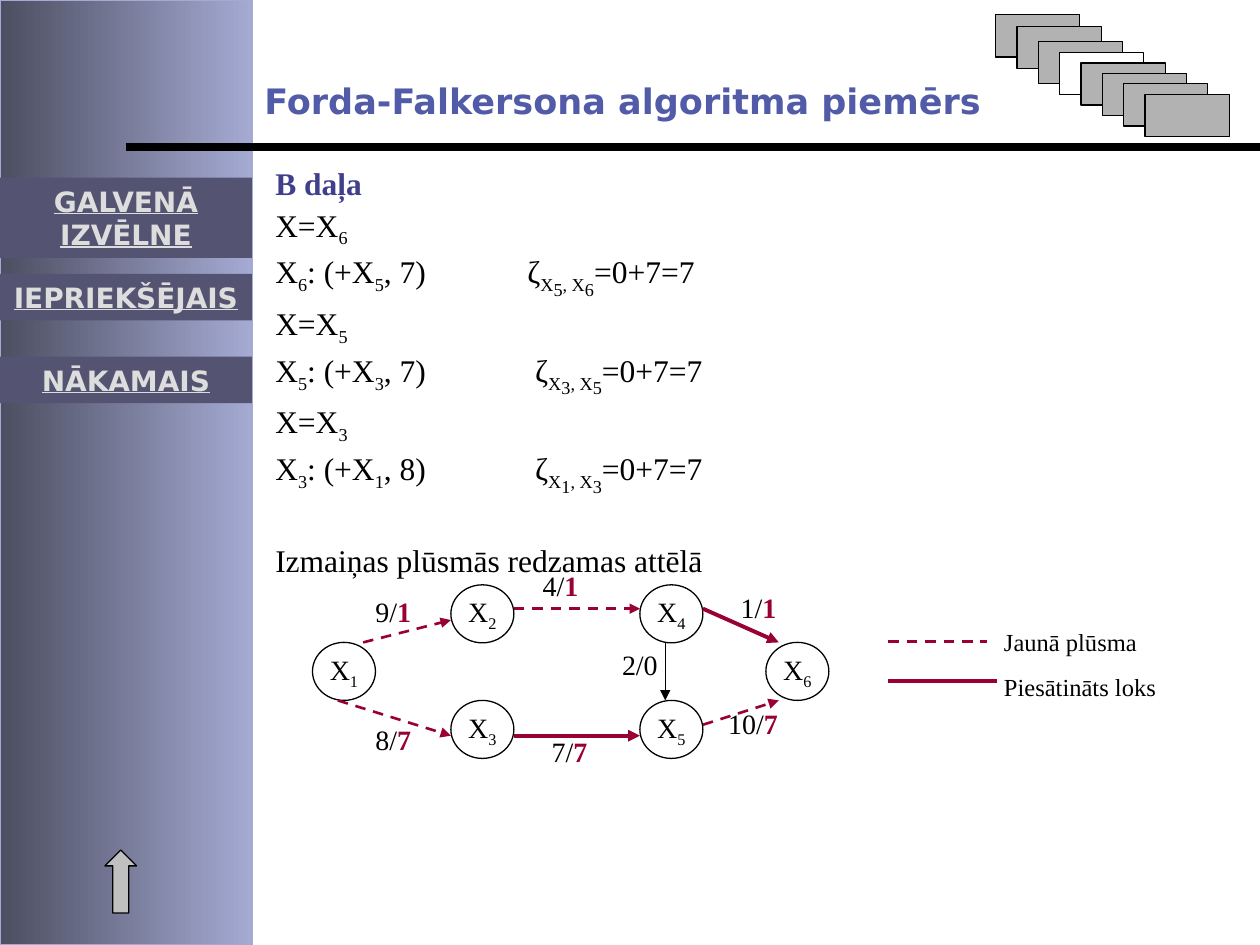
"""Build the Ford-Fulkerson example slide with its flow network."""
from lxml import etree
from pptx import Presentation
from pptx.dml.color import RGBColor
from pptx.enum.dml import MSO_LINE
from pptx.enum.shapes import MSO_CONNECTOR, MSO_SHAPE
from pptx.enum.text import MSO_ANCHOR, PP_ALIGN
from pptx.oxml.ns import qn
from pptx.util import Cm, Pt

BLACK = RGBColor(0x00, 0x00, 0x00)
WHITE = RGBColor(0xFF, 0xFF, 0xFF)
LILAC = RGBColor(0xA5, 0xAA, 0xD3)
SLATE = RGBColor(0x4C, 0x4E, 0x61)
BUTTON = RGBColor(0x54, 0x54, 0x72)
BUTTON_TEXT = RGBColor(0xDD, 0xDD, 0xDD)
TITLE = RGBColor(0x51, 0x5B, 0xA7)
HEADING = RGBColor(0x3F, 0x3F, 0x8B)
FLOW = RGBColor(0x99, 0x00, 0x33)
SILVER = RGBColor(0xC0, 0xC0, 0xC0)
CARD = RGBColor(0xB2, 0xB2, 0xB2)

SANS, SERIF = "DejaVu Sans", "Times New Roman"
RECTANGLE, OVAL, ARROW = MSO_SHAPE.RECTANGLE, MSO_SHAPE.OVAL, MSO_SHAPE.RIGHT_ARROW
STRAIGHT, DASH = MSO_CONNECTOR.STRAIGHT, MSO_LINE.DASH
MIDDLE, CENTER = MSO_ANCHOR.MIDDLE, PP_ALIGN.CENTER
SUB, SUBSUB = -25000, -40000

deck = Presentation()
deck.slide_width, deck.slide_height = Cm(25.4), Cm(19.05)
page = deck.slides.add_slide(deck.slide_layouts[6])
shapes = page.shapes


def add_span(para, text, size, color=BLACK, bold=False, baseline=0, font=SERIF):
    span = para.add_run()
    span.text = text
    span.font.name, span.font.size, span.font.bold = font, Pt(size), bold
    span.font.color.rgb = color
    if baseline:
        span.font._element.set("baseline", str(baseline))
    return span


def add_line(start, end, color, width, dashed=False, arrow=False):
    line = shapes.add_connector(STRAIGHT, *(Cm(v) for v in start + end))
    line.line.color.rgb, line.line.width = color, Pt(width)
    if dashed:
        line.line.dash_style = DASH
    properties = line._element.spPr
    if arrow:
        etree.SubElement(properties.find(qn("a:ln")), qn("a:tailEnd"), type="triangle")
    etree.SubElement(properties, qn("a:effectLst"))


sidebar = shapes.add_shape(RECTANGLE, 0, 0, Cm(5.08), Cm(19.05))
sidebar.shadow.inherit = False
sidebar.fill.gradient()
sidebar.fill.gradient_angle = 180
for stop, color, position in zip(sidebar.fill.gradient_stops, (LILAC, SLATE), (0, 1)):
    stop.color.rgb, stop.position = color, position
sidebar.line.color.rgb, sidebar.line.width = LILAC, Pt(0.75)

add_line((25.4, 2.97), (2.54, 2.97), BLACK, 4.5)

up_arrow = shapes.add_shape(ARROW, Cm(1.8), Cm(17.45), Cm(1.27), Cm(0.64))
up_arrow.rotation = 270
up_arrow.shadow.inherit = False
up_arrow.fill.solid()
up_arrow.fill.fore_color.rgb = SILVER
up_arrow.line.color.rgb, up_arrow.line.width = BLACK, Pt(0.75)

title = shapes.add_textbox(Cm(5.08), Cm(1.47), Cm(16.43), Cm(1.12))
title.text_frame.word_wrap = True
add_span(title.text_frame.paragraphs[0], "Forda-Falkersona algoritma piemērs",
         20, TITLE, True, font=SANS)

for text, top, height, inset in (
    ("GALVENĀ IZVĒLNE", 3.58, 1.62, 0.25),
    ("IEPRIEKŠĒJAIS", 5.52, 0.94, 0),
    ("NĀKAMAIS", 7.19, 0.94, 0.25),
):
    button = shapes.add_shape(RECTANGLE, 0, Cm(top), Cm(5.08), Cm(height))
    button.shadow.inherit = False
    button.fill.solid()
    button.fill.fore_color.rgb = BUTTON
    button.line.fill.background()
    frame = button.text_frame
    frame.word_wrap, frame.vertical_anchor = True, MIDDLE
    frame.margin_left = frame.margin_right = Cm(inset)
    frame.paragraphs[0].alignment = CENTER
    add_span(frame.paragraphs[0], text, 16, BUTTON_TEXT, True, font=SANS).font.underline = True

body = shapes.add_textbox(Cm(5.3), Cm(3.18), Cm(18.8), Cm(8.66)).text_frame
body.word_wrap = True
add_span(body.paragraphs[0], "B daļa", 18, HEADING, True)
for node, source, gap in (
    ("6", "5", ", 7) \tζ"),
    ("5", "3", ", 7) \t ζ"),
    ("3", "1", ", 8)\t ζ"),
):
    for spans in (
        (("X=X", 0), (node, SUB)),
        (("X", 0), (node, SUB), (": (+X", 0), (source, SUB), (gap, 0), ("X", SUB),
         (source, SUBSUB), (", X", SUB), (node, SUBSUB), ("=0+7=7", 0)),
    ):
        para = body.add_paragraph()
        para.space_before = Pt(2.2)
        tabs = etree.SubElement(para._p.get_or_add_pPr(), qn("a:tabLst"))
        etree.SubElement(tabs, qn("a:tab"), pos=str(Cm(5.08)), algn="l")
        for text, baseline in spans:
            add_span(para, text, 18, baseline=baseline)
para = body.add_paragraph()
para.space_before = Pt(25)
add_span(para, "Izmaiņas plūsmās redzamas attēlā", 18)

for number, left, top in (
    ("1", 6.3, 12.95), ("2", 9.09, 11.79), ("3", 9.09, 14.12),
    ("5", 12.9, 14.12), ("6", 15.44, 12.95), ("4", 12.9, 11.79),
):
    node = shapes.add_shape(OVAL, Cm(left), Cm(top), Cm(1.27), Cm(1.17))
    node.shadow.inherit = False
    node.fill.solid()
    node.fill.fore_color.rgb = WHITE
    node.line.color.rgb, node.line.width = BLACK, Pt(0.75)
    frame = node.text_frame
    frame.word_wrap, frame.vertical_anchor = False, MIDDLE
    para = frame.paragraphs[0]
    para.alignment = CENTER
    add_span(para, "X", 16)
    add_span(para, number, 16, baseline=SUB)

for start, end in (
    ((7.32, 12.95), (9.09, 12.5)),
    ((10.36, 12.27), (12.9, 12.27)),
    ((6.81, 14.12), (9.09, 14.83)),
    ((14.17, 14.61), (15.7, 14.12)),
):
    add_line(start, end, FLOW, 1.5, dashed=True, arrow=True)
for start, end in (((14.17, 12.27), (15.7, 12.95)), ((10.36, 14.83), (12.9, 14.83))):
    add_line(start, end, FLOW, 2.25, arrow=True)
add_line((13.41, 12.95), (13.41, 14.12), BLACK, 0.75, arrow=True)

for capacity, flow, flow_color, left, top, width in (
    ("4/", "1", FLOW, 10.69, 11.33, 1.42),
    ("9/", "1", FLOW, 7.32, 11.86, 1.25),
    ("1/", "1", FLOW, 14.68, 11.79, 1.27),
    ("10/", "7", FLOW, 14.43, 14.12, 1.53),
    ("7/", "7", FLOW, 10.87, 14.68, 1.25),
    ("8/", "7", FLOW, 7.32, 14.45, 1.25),
    ("2/0", "", BLACK, 12.29, 12.93, 1.45),
):
    label = shapes.add_textbox(Cm(left), Cm(top), Cm(width), Cm(0.94)).text_frame
    label.word_wrap = True
    add_span(label.paragraphs[0], capacity, 16)
    if flow:
        add_span(label.paragraphs[0], flow, 16, flow_color, True)

legend = shapes.add_textbox(Cm(19.99), Cm(12.52), Cm(3.61), Cm(1.75)).text_frame
legend.word_wrap = True
add_span(legend.paragraphs[0], "Jaunā plūsma", 14)
para = legend.add_paragraph()
para.space_before = Pt(8.8)
add_span(para, "Piesātināts loks", 14)
add_line((17.91, 12.93), (19.89, 12.93), FLOW, 1.5, dashed=True)
add_line((17.91, 13.72), (20.09, 13.72), FLOW, 2.25)

for index, top in enumerate((0.3, 0.53, 0.84, 1.06, 1.27, 1.48, 1.69, 1.9)):
    card = shapes.add_shape(RECTANGLE, Cm(20.07 + 0.43 * index), Cm(top), Cm(1.7), Cm(0.85))
    card.shadow.inherit = False
    card.fill.solid()
    card.fill.fore_color.rgb = WHITE if index == 3 else CARD
    card.line.color.rgb, card.line.width = BLACK, Pt(0.75)

deck.save("out.pptx")
